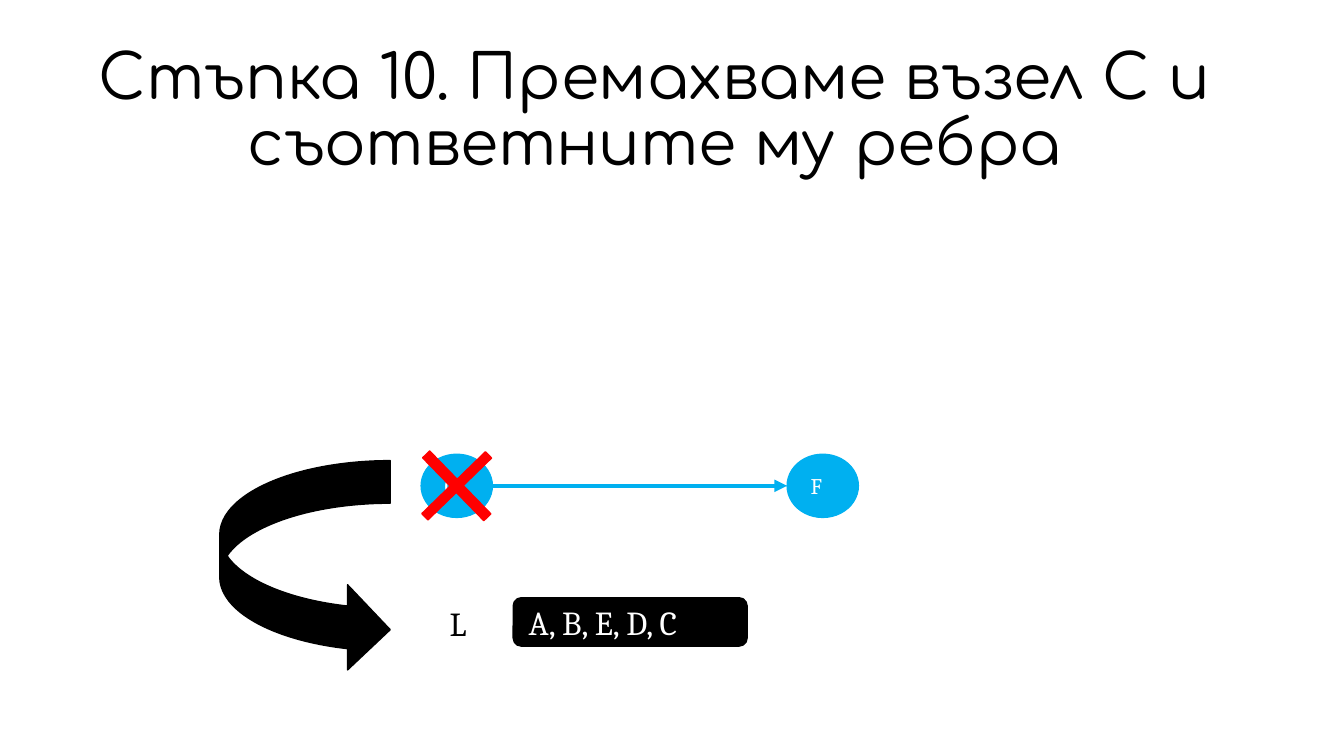
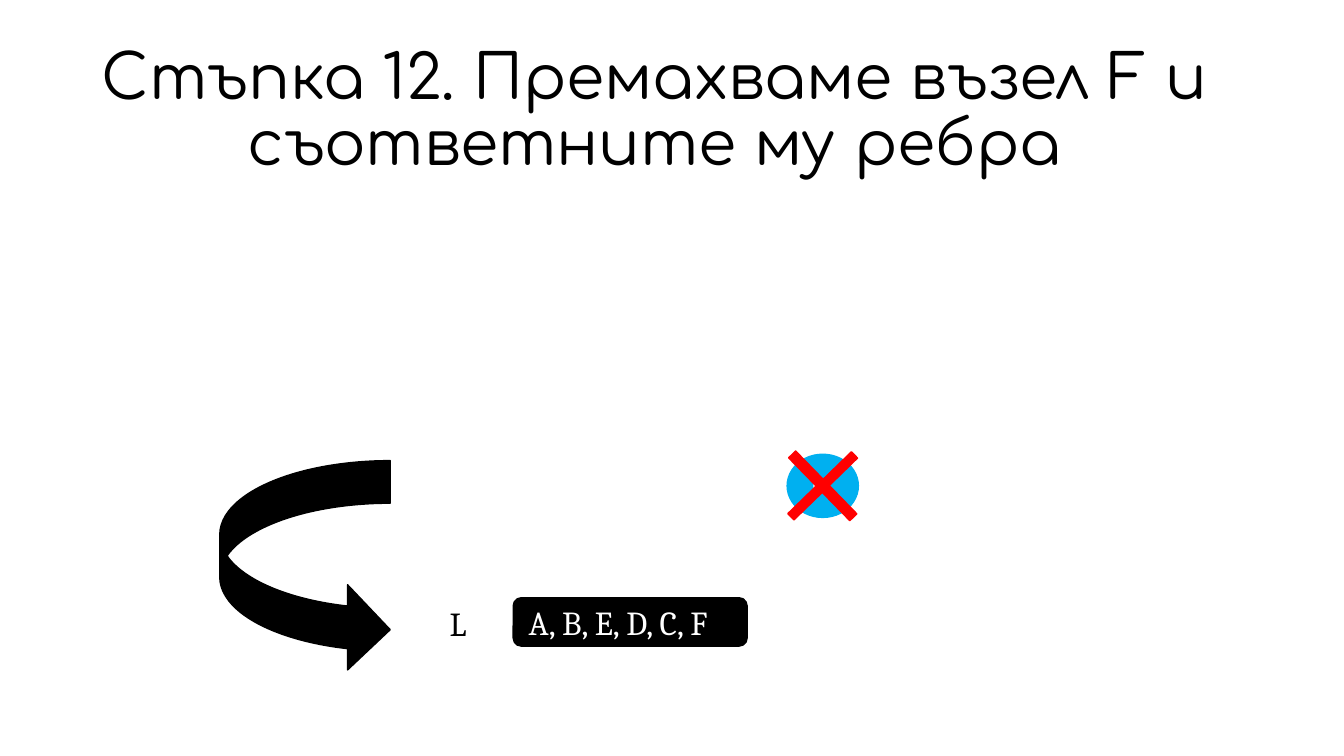
import lxml.etree
import pptx
import pptx.util
import pptx.oxml.ns
import pptx.dml.color
import pptx.enum.shapes
import pptx.enum.text
from dataclasses import dataclass

Inches = pptx.util.Inches
Pt = pptx.util.Pt
SHAPE = pptx.enum.shapes.MSO_SHAPE
ANCHOR = pptx.enum.text.MSO_ANCHOR
ALIGN = pptx.enum.text.PP_ALIGN
qn = pptx.oxml.ns.qn


@dataclass(frozen=True)
class Theme:
    title_font: str = "Comfortaa"
    text_font: str = "Cambria"
    title_size: int = 44
    list_size: int = 24
    node_size: int = 16
    ink: str = "000000"
    paper: str = "FFFFFF"
    graph: str = "00B0F0"
    removal: str = "FF0000"
    inset: float = 0.13


THEME = Theme()
SLIDE_SIZE = (13.33, 7.5)
TITLE_BOX = (0.24, 0.51, 12.51, 1.21)
NODE_SIZE = (0.71, 0.63)
CROSS_SIZE = (0.87, 0.88)
NODE_CENTRES = {"C": (4.53, 4.82), "F": (8.16, 4.82)}
LIST_LABEL_BOX = (4.33, 5.85, 0.41, 0.63)
LIST_BOX = (5.09, 5.93, 2.32, 0.48)
TURN_ARROW_BOX = (2.18, 4.57, 1.69, 2.1)

STEPS = [
    {"title": "Стъпка 10. Премахваме възел C и съответните му ребра",
     "nodes": ["C", "F"], "edges": [("C", "F")],
     "removed": "C", "visited": "A, B, E, D, C"},
    {"title": "Стъпка 12. Премахваме възел F и съответните му ребра",
     "nodes": ["F"], "edges": [],
     "removed": "F", "visited": "A, B, E, D, C, F"},
]


def rgb(colour):
    return pptx.dml.color.RGBColor.from_string(colour)


def inches(lengths):
    return [Inches(length) for length in lengths]


def centred(centre, size):
    return tuple(c - s / 2 for c, s in zip(centre, size)) + size


def write(holder, text, font, size, colour, align=ALIGN.LEFT,
          anchor=ANCHOR.MIDDLE, insets=(THEME.inset, THEME.inset)):
    frame = holder.text_frame
    frame.word_wrap = True
    frame.auto_size = pptx.enum.text.MSO_AUTO_SIZE.NONE
    frame.vertical_anchor = anchor
    frame.margin_left = frame.margin_right = Inches(insets[0])
    frame.margin_top = frame.margin_bottom = Inches(insets[1])
    frame.text = text
    paragraph = frame.paragraphs[0]
    paragraph.alignment = align
    paragraph.font.name = font
    paragraph.font.size = Pt(size)
    paragraph.font.color.rgb = rgb(colour)
    return paragraph


def add_solid(slide, preset, box, colour, line_width=1):
    solid = slide.shapes.add_shape(preset, *inches(box))
    solid.shadow.inherit = False
    solid.fill.solid()
    solid.fill.fore_color.rgb = rgb(colour)
    solid.line.color.rgb = rgb(colour)
    solid.line.width = Pt(line_width)
    return solid


def add_title(slide, text):
    title = slide.shapes.title
    title.left, title.top, title.width, title.height = inches(TITLE_BOX)
    paragraph = write(title, text, THEME.title_font, THEME.title_size,
                      THEME.ink, ALIGN.CENTER, insets=(0.12, 0.04))
    paragraph.line_spacing = 0.9


def add_node(slide, name):
    node = add_solid(slide, SHAPE.OVAL, centred(NODE_CENTRES[name], NODE_SIZE),
                     THEME.graph, 0.75)
    write(node, name, THEME.text_font, THEME.node_size, THEME.paper)


def add_edge(slide, start, end):
    (start_x, start_y), (end_x, end_y) = NODE_CENTRES[start], NODE_CENTRES[end]
    radius = NODE_SIZE[0] / 2
    edge = slide.shapes.add_connector(
        pptx.enum.shapes.MSO_CONNECTOR.STRAIGHT,
        *inches((start_x + radius, start_y, end_x - radius, end_y)))
    edge.line.color.rgb = rgb(THEME.graph)
    edge.line.width = Pt(3)
    properties = edge.element.spPr
    lxml.etree.SubElement(properties.find(qn("a:ln")), qn("a:tailEnd"),
                          type="triangle")
    lxml.etree.SubElement(properties, qn("a:effectLst"))


def add_visited(slide, names):
    label = slide.shapes.add_textbox(*inches(LIST_LABEL_BOX))
    write(label, "L", THEME.text_font, THEME.list_size, THEME.ink,
          anchor=ANCHOR.TOP)
    visited = add_solid(slide, SHAPE.ROUNDED_RECTANGLE, LIST_BOX, THEME.ink)
    visited.adjustments[0] = 0.167
    write(visited, names, THEME.text_font, THEME.list_size, THEME.paper)


def add_cross(slide, name):
    cross = add_solid(slide, SHAPE.CROSS,
                      centred(NODE_CENTRES[name], CROSS_SIZE), THEME.removal)
    cross.adjustments[0] = 0.45
    cross.rotation = 45.8


def add_step(deck, step):
    slide = deck.slides.add_slide(deck.slide_layouts.get_by_name("Title Only"))
    add_title(slide, step["title"])
    for name in step["nodes"]:
        add_node(slide, name)
    for start, end in step["edges"]:
        add_edge(slide, start, end)
    add_visited(slide, step["visited"])
    add_cross(slide, step["removed"])
    add_solid(slide, SHAPE.CURVED_RIGHT_ARROW, TURN_ARROW_BOX, THEME.ink)


def main():
    deck = pptx.Presentation()
    deck.slide_width, deck.slide_height = inches(SLIDE_SIZE)
    for step in STEPS:
        add_step(deck, step)
    deck.save("out.pptx")


if __name__ == "__main__":
    main()
